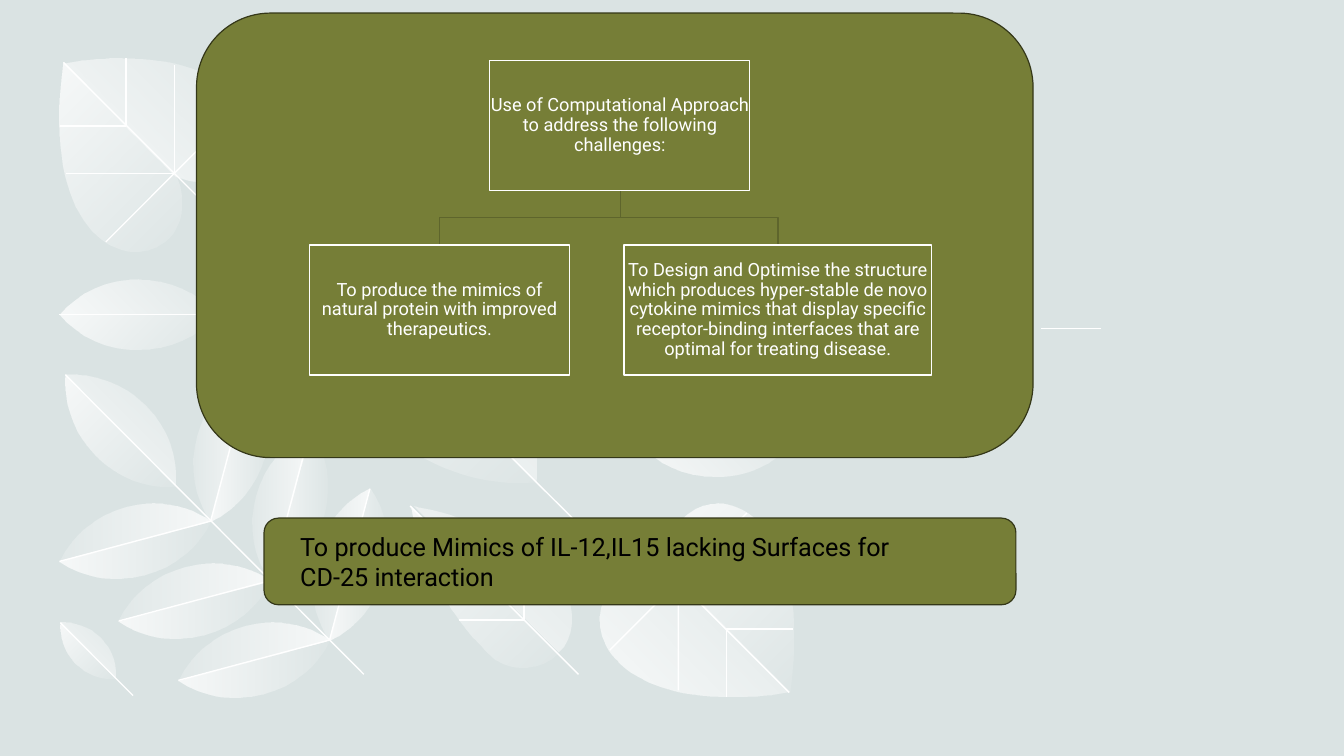
from math import cos, radians, sin
from pptx import Presentation
from pptx.dml.color import RGBColor
from pptx.enum.shapes import MSO_CONNECTOR, MSO_SHAPE
from pptx.enum.text import MSO_ANCHOR, PP_ALIGN
from pptx.oxml.ns import qn
from pptx.util import Cm, Pt
from lxml.etree import SubElement

OLIVE, DARK_OLIVE, BRANCH = "767E37", "343718", "5E652C"
WHITE, BLACK, PALE = "FFFFFF", "000000", "DAE3E3"
UPPER_ALPHA, LOWER_ALPHA = 20, 10
STEP_TAGS = {1: "a:lnTo", 3: "a:cubicBezTo"}

# Half of a pointed leaf: share along the midrib, share of the length sideways
LEAF_EDGE = [(0, 0), (0.12, 0.14), (0.3, 0.225), (0.5, 0.225),
             (0.7, 0.225), (0.88, 0.14), (1, 0)]

# Pointed leaves: tip, base, end of the stalk, rotation
SINGLE_LEAVES = [
    ((3.12, 2.59), (5.32, 4.78), (5.74, 5.2), 315),
    ((0.65, 3.72), (1.74, 4.82), (3.61, 6.69), 315),
    ((0.59, 3.12), (2.15, 3.12), (2.63, 3.12), 270),
    ((0.6, 6.18), (1.14, 6.73), (1.32, 6.9), 315),
]

# Outlines: a start point, then straight steps (1 point) or curves (3 points)
HEART_UPPER = [
    [(0.63, 0.63)], [(1.74, 1.74)], [(1.86, 1.78)],
    [(2.08, 1.83), (2.26, 1.77), (2.37, 1.66)],
    [(2.39, 1.65), (2.4, 1.63), (2.42, 1.61)],
    [(2.7, 1.24), (2.36, 0.44), (0.81, 0.6)],
]
HEART_LOWER = [
    [(0.63, 0.62)], [(0.61, 0.8)],
    [(0.45, 2.34), (1.25, 2.69), (1.62, 2.4)],
    [(1.76, 2.3), (1.84, 2.1), (1.78, 1.84)], [(1.74, 1.73)],
]
HEART_VEINS = [
    [(0.63, 0.62), (2.34, 2.33)], [(2.41, 1.04), (1.05, 2.4)],
    [(0.65, 1.72), (1.73, 1.72), (1.73, 0.64)],
    [(0.59, 1.25), (1.25, 1.25), (1.25, 0.58)],
]
OVAL_UPPER = [
    [(4.11, 5.03)], [(5.54, 6.46)], [(5.59, 6.41)],
    [(5.7, 6.24), (5.7, 6.02), (5.59, 5.86)], [(5.53, 5.78)], [(5.37, 5.63)],
    [(4.99, 5.31), (4.56, 5.1), (4.15, 5.04)],
]
OVAL_LOWER = [
    [(4.08, 5.03)], [(4.09, 5.1)],
    [(4.16, 5.51), (4.36, 5.94), (4.69, 6.32)], [(4.83, 6.47)], [(4.91, 6.54)],
    [(5.1, 6.67), (5.36, 6.65), (5.53, 6.48)], [(5.54, 6.46)],
]
OVAL_VEINS = [[(4.07, 5.02), (5.74, 6.69)], [(4.55, 6.15), (5.2, 6.15), (5.2, 5.5)]]


def inch(value):
    return Cm(value * 2.54)


def color(hex_code):
    return RGBColor.from_string(hex_code)


def set_line(line, hex_code, width):
    line.color.rgb = color(hex_code)
    line.width = Pt(width)


def turn(point, degrees):
    x, y = point
    c, s = cos(radians(degrees)), sin(radians(degrees))
    return x * c - y * s, x * s + y * c


def flatten(outline, parts=24):
    """Sample straight steps and cubic curves, to find how far they reach."""
    points = list(outline[0])
    for step in outline[1:]:
        if len(step) == 1:
            points += step
            continue
        bend = (points[-1], *step)
        for t in (index / parts for index in range(1, parts + 1)):
            weights = ((1 - t) ** 3, 3 * t * (1 - t) ** 2, 3 * t * t * (1 - t), t ** 3)
            points.append(tuple(sum(w * p[axis] for w, p in zip(weights, bend))
                                for axis in (0, 1)))
    return points


def add_outline(slide, outline, rotation, close):
    """Draw an outline, given as it shows, as a freeform with a rotation."""
    upright = [[turn(point, -rotation) for point in step] for step in outline]
    samples = flatten(upright)
    lows, highs = ([pick(values) for values in zip(*samples)] for pick in (min, max))
    middle = [(low + high) / 2 for low, high in zip(lows, highs)]
    center = turn(middle, rotation)
    corners = [tuple(inch(p[i] - middle[i] + center[i]) for i in (0, 1)) for p in samples]
    builder = slide.shapes.build_freeform(*corners[0], scale=1.0)
    builder.add_line_segments(corners[1:], close=close)
    freeform = builder.convert_to_shape()
    freeform.shadow.inherit = False
    freeform.rotation = rotation

    contour = next(freeform.element.iter(qn("a:path")))
    for child in list(contour):
        contour.remove(child)
    for index, step in enumerate(upright):
        move = SubElement(contour, qn(STEP_TAGS[len(step)] if index else "a:moveTo"))
        for point in step:
            spot = SubElement(move, qn("a:pt"))
            for axis, value, low in zip("xy", point, lows):
                spot.set(axis, str(inch(value - low)))
    if close:
        SubElement(contour, qn("a:close"))
    return freeform


def add_blade(slide, outline, rotation, angle, end_alpha):
    """Draw half a leaf that fades along a clockwise angle."""
    blade = add_outline(slide, outline, rotation, close=True)
    blade.line.fill.background()
    blade.fill.gradient()
    blade.fill.gradient_angle = (360 - angle) % 360
    for stop in blade.fill.gradient_stops:
        stop.color.rgb = color(WHITE)
    next(blade.element.iter(qn("a:gradFill"))).set("rotWithShape", "0")
    for tone, alpha in zip(blade.element.spPr.iter(qn("a:srgbClr")), (80, end_alpha)):
        SubElement(tone, qn("a:alpha")).set("val", str(alpha * 1000))


def add_route(slide, points, hex_code=WHITE, width=1, rotation=0):
    """Draw a straight line, or a bent one through more than two points."""
    if len(points) == 2:
        ends = [inch(value) for point in points for value in point]
        route = slide.shapes.add_connector(MSO_CONNECTOR.STRAIGHT, *ends)
        SubElement(route.element.spPr, qn("a:effectLst"))
    else:
        route = add_outline(slide, [[point] for point in points], rotation, close=False)
        route.fill.background()
    set_line(route.line, hex_code, width)


def add_half_leaf(slide, start, end, side, rotation, angle, alpha):
    """Draw the left (side 1) or right (side -1) half, seen from start to end."""
    dx, dy = end[0] - start[0], end[1] - start[1]
    edge = [(start[0] + along * dx + side * out * dy,
             start[1] + along * dy - side * out * dx) for along, out in LEAF_EDGE]
    add_blade(slide, [edge[:1], edge[1:4], edge[4:]], rotation, angle, alpha)


def add_pointed_leaf(slide, start, end, rotation, upper_angle, lower_angle):
    add_half_leaf(slide, start, end, 1, rotation, upper_angle, UPPER_ALPHA)
    add_half_leaf(slide, start, end, -1, rotation, lower_angle, LOWER_ALPHA)


def add_broad_leaf(slide, upper, lower, veins, vein_rotation, turned=False):
    """Draw a heart or oval leaf, turned by half a circle when asked."""
    def place(point):
        return (8.46 - point[0], 7.49 - point[1]) if turned else point

    for half, angle, alpha in ((upper, 315, UPPER_ALPHA), (lower, 45, LOWER_ALPHA)):
        outline = [[place(point) for point in step] for step in half]
        add_blade(slide, outline, 135 if turned else 315, angle, alpha)
    for vein in veins:
        add_route(slide, [place(point) for point in vein], rotation=vein_rotation)


def add_foliage(slide):
    add_route(slide, [(10.33, 3.26), (10.92, 3.26)])
    for tip, base, stalk, rotation in SINGLE_LEAVES:
        add_pointed_leaf(slide, tip, base, rotation, 315, 45)
        add_route(slide, [tip, stalk])
    for x, y in ((2.09 + 0.59 * step, 5.17 + 0.59 * step) for step in range(3)):
        for start, end in (((x - 1.5, y + 0.4), (x, y)), ((x, y), (x + 0.4, y - 1.5))):
            add_pointed_leaf(slide, start, end, 315, 180, 0)
            add_route(slide, [start, end])
    add_half_leaf(slide, (7.87, 4.38), (6.32, 4.38), 1, 90, 315, UPPER_ALPHA)
    add_broad_leaf(slide, OVAL_UPPER, OVAL_LOWER, OVAL_VEINS, 270)
    add_broad_leaf(slide, HEART_UPPER, HEART_LOWER, HEART_VEINS, 90)
    add_broad_leaf(slide, HEART_UPPER, HEART_LOWER, HEART_VEINS, 270, turned=True)


def add_panel(slide, box, kind=MSO_SHAPE.ROUNDED_RECTANGLE, border=DARK_OLIVE):
    panel = slide.shapes.add_shape(kind, *map(inch, box))
    panel.shadow.inherit = False
    panel.fill.solid()
    panel.fill.fore_color.rgb = color(OLIVE)
    set_line(panel.line, border, 0.85)
    return panel


def write(frame, text, size, hex_code, align=PP_ALIGN.LEFT, spacing=1.0,
          anchor=MSO_ANCHOR.TOP, margins=(0.1, 0.05)):
    frame.word_wrap, frame.vertical_anchor = True, anchor
    frame.margin_left = frame.margin_right = inch(margins[0])
    frame.margin_top = frame.margin_bottom = inch(margins[1])
    paragraph = frame.paragraphs[0]
    paragraph.alignment, paragraph.line_spacing = align, spacing
    run = paragraph.add_run()
    run.text = text
    run.font.name, run.font.size = "Roboto", Pt(size)
    run.font.color.rgb = color(hex_code)


def add_node(slide, left, top, width, text):
    node = add_panel(slide, (left, top, width, 1.29), MSO_SHAPE.RECTANGLE, WHITE)
    write(node.text_frame, text, 13, WHITE, align=PP_ALIGN.CENTER, spacing=0.9,
          anchor=MSO_ANCHOR.MIDDLE, margins=(0.01, 0.01))


def add_challenge_tree(slide):
    for x in (7.72, 4.36):
        add_route(slide, [(6.16, 1.89), (6.16, 2.16), (x, 2.16), (x, 2.43)], BRANCH, 0.85)
    add_node(slide, 4.86, 0.6, 2.58,
             "Use of Computational Approach to address the following challenges:")
    add_node(slide, 3.07, 2.43, 2.58,
             "To produce the mimics of natural protein with improved therapeutics.")
    add_node(slide, 6.19, 2.43, 3.05,
             "To Design and Optimise the structure which produces hyper-stable de novo "
             "cytokine mimics that display specific receptor-binding interfaces that are "
             "optimal for treating disease.")


def main():
    deck = Presentation()
    deck.slide_width, deck.slide_height = Cm(33.87), Cm(19.05)
    slide = deck.slides.add_slide(deck.slide_layouts[6])
    slide.background.fill.solid()
    slide.background.fill.fore_color.rgb = color(PALE)
    add_foliage(slide)
    add_panel(slide, (1.95, 0.13, 8.3, 4.41))
    add_challenge_tree(slide)
    add_panel(slide, (2.62, 5.14, 7.46, 0.86))
    aim = slide.shapes.add_textbox(*map(inch, (2.88, 5.22, 6.71, 0.71)))
    write(aim.text_frame, "To produce Mimics of IL-12,IL15 lacking Surfaces for CD-25 interaction",
          18, BLACK)
    deck.save("out.pptx")


if __name__ == "__main__":
    main()
